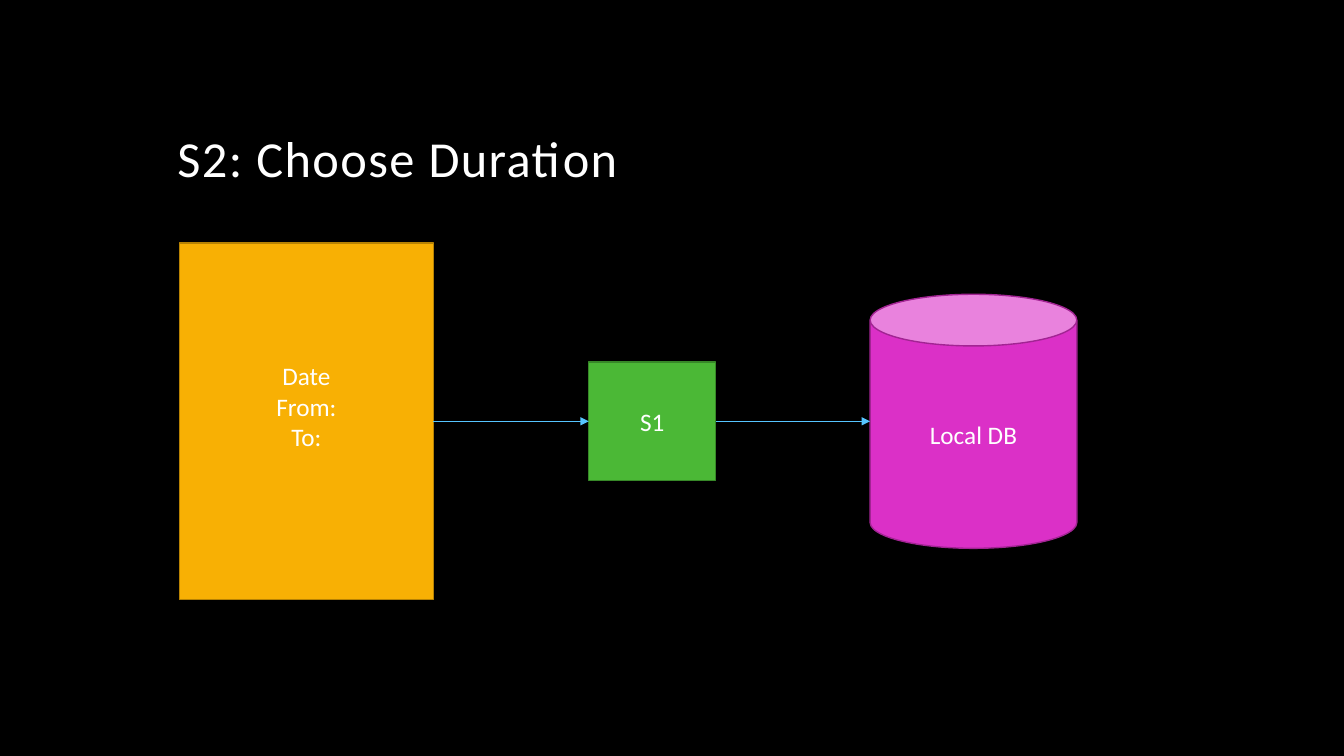
"""Build the slide on choosing a duration."""
import pptx
import pptx.dml.color
import pptx.enum.shapes
import pptx.enum.text
import pptx.oxml.ns
import pptx.util
from lxml import etree

RGB = pptx.dml.color.RGBColor
BLACK = RGB(0x00, 0x00, 0x00)
WHITE = RGB(0xFF, 0xFF, 0xFF)
AMBER, BROWN = RGB(0xF8, 0xB0, 0x04), RGB(0xB7, 0x82, 0x03)
GREEN, MOSS = RGB(0x4B, 0xB8, 0x36), RGB(0x37, 0x88, 0x28)
PINK, PLUM = RGB(0xDB, 0x30, 0xC7), RGB(0xA2, 0x24, 0x93)
SKY = RGB(0x56, 0xC5, 0xFF)

WIDE = pptx.util.Inches(13.33)
HIGH = pptx.util.Inches(7.5)
MID = 55.73
KIND = pptx.enum.shapes.MSO_SHAPE
ALIGN = pptx.enum.text.PP_ALIGN
ANCHOR = pptx.enum.text.MSO_ANCHOR


def across(share):
    """Turn a percentage of the slide's width into a length."""
    return round(WIDE * share / 100)


def down(share):
    """Turn a percentage of the slide's height into a length."""
    return round(HIGH * share / 100)


def apply(thing, values):
    """Set each named value on an object."""
    for name, value in values.items():
        setattr(thing, name, value)


def write(shape, lines, size, frame, para):
    """Fill a shape with formatted paragraphs."""
    text = shape.text_frame
    text.text = "\n".join(lines)
    apply(text, {"word_wrap": True, **frame})
    for item in text.paragraphs:
        apply(item, para)
        for run in item.runs:
            apply(run.font, {"name": "Calibri", "size": pptx.util.Pt(size)})
            run.font.color.rgb = WHITE


def head(slide, words):
    """Place and format the title."""
    title = slide.shapes.title
    apply(title, {"left": across(12.45), "top": down(5.6),
                  "width": across(75), "height": down(20)})
    write(title, [words], 36,
          {"vertical_anchor": ANCHOR.BOTTOM,
           "auto_size": pptx.enum.text.MSO_AUTO_SIZE.NONE},
          {"alignment": ALIGN.LEFT, "line_spacing": 0.9})
    for run in title.text_frame.paragraphs[0].runs:
        run._r.get_or_add_rPr().set("spc", "100")


def block(slide, kind, left, width, height, lines, fill, edge, foot=0.05):
    """Draw a labelled shape centred on the middle row."""
    shape = slide.shapes.add_shape(
        kind, across(left), down(MID - height / 2), across(width), down(height))
    shape.shadow.inherit = False
    shape.fill.solid()
    shape.fill.fore_color.rgb = fill
    shape.line.color.rgb = edge
    shape.line.width = pptx.util.Pt(1)
    write(shape, lines, 18,
          {"vertical_anchor": ANCHOR.MIDDLE,
           "margin_bottom": pptx.util.Inches(foot)},
          {"alignment": ALIGN.CENTER})
    return shape


def arrow(slide, start, end):
    """Join two shapes along the middle row."""
    link = slide.shapes.add_connector(
        pptx.enum.shapes.MSO_CONNECTOR.STRAIGHT,
        start.left + start.width, down(MID), end.left, down(MID))
    link.line.color.rgb = SKY
    link.line.width = pptx.util.Pt(0.5)
    tip = etree.SubElement(link.line._get_or_add_ln(),
                           pptx.oxml.ns.qn("a:tailEnd"))
    tip.set("type", "triangle")
    etree.SubElement(link._element.spPr, pptx.oxml.ns.qn("a:effectLst"))


def main():
    """Build and save the deck."""
    deck = pptx.Presentation()
    apply(deck, {"slide_width": WIDE, "slide_height": HIGH})
    slide = deck.slides.add_slide(deck.slide_layouts.get_by_name("Title Only"))
    slide.background.fill.solid()
    slide.background.fill.fore_color.rgb = BLACK
    head(slide, "S2: Choose Duration")
    dates = block(slide, KIND.RECTANGLE, 13.35, 18.9, 47.2,
                  ["Date", "From:", "To:"], AMBER, BROWN, foot=0.35)
    step = block(slide, KIND.RECTANGLE, 43.81, 9.45, 15.73,
                 ["S1"], GREEN, MOSS)
    store = block(slide, KIND.CAN, 64.74, 15.38, 33.6,
                  ["Local DB"], PINK, PLUM)
    arrow(slide, dates, step)
    arrow(slide, step, store)
    deck.save("out.pptx")


if __name__ == "__main__":
    main()
